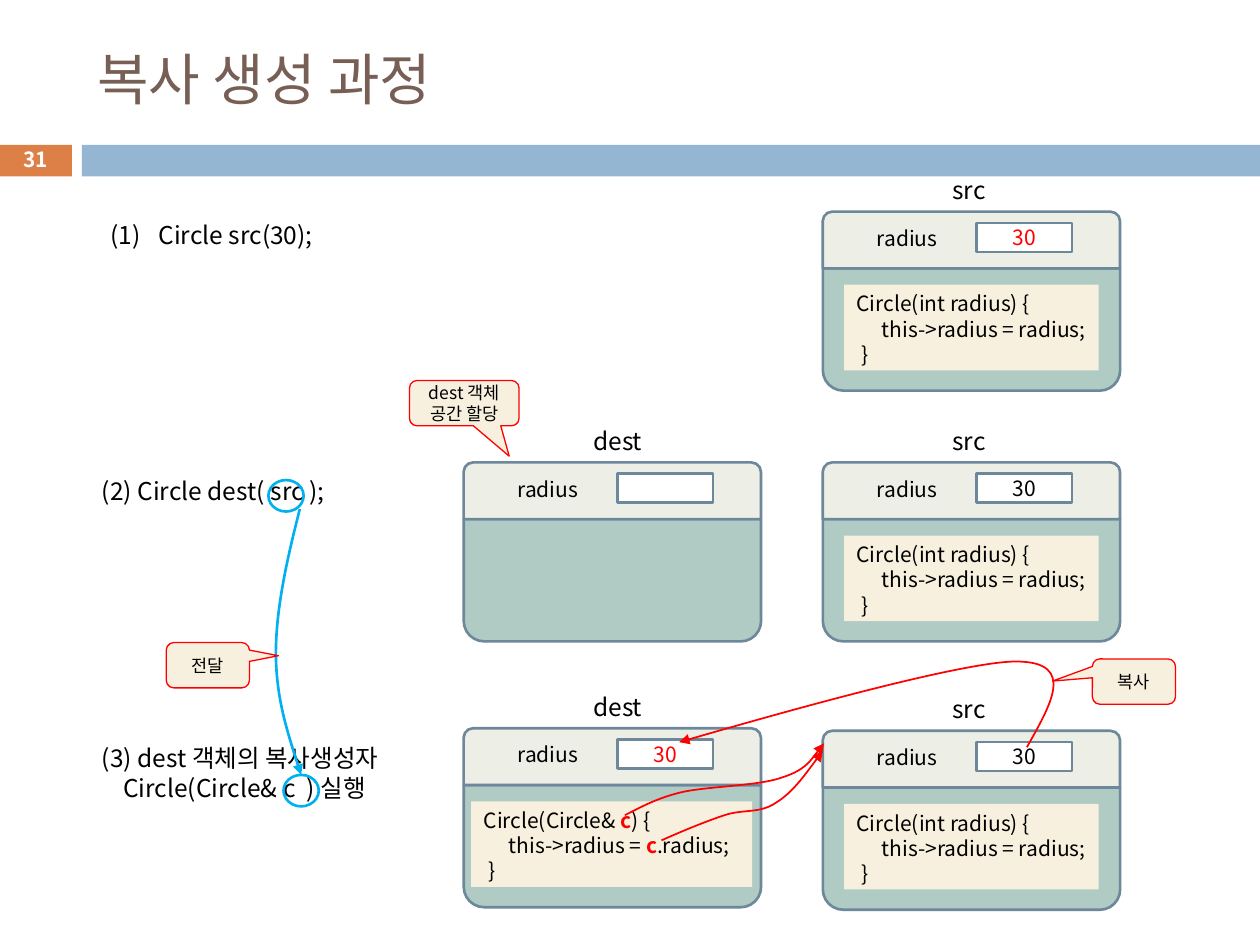
import itertools
from dataclasses import dataclass

import pptx
import pptx.dml.color
import pptx.enum.shapes
import pptx.enum.text
import pptx.oxml.ns
import pptx.oxml.xmlchemy
import pptx.util
from pptx.util import Inches

SHAPE = pptx.enum.shapes.MSO_SHAPE
ALIGN = pptx.enum.text.PP_ALIGN
ANCHOR = pptx.enum.text.MSO_ANCHOR


@dataclass(frozen=True)
class Theme:
    font: str = "Noto Sans CJK KR"
    black: str = "000000"
    white: str = "FFFFFF"
    red: str = "FF0000"
    cyan: str = "00B0F0"
    brown: str = "775F55"
    orange: str = "DD8047"
    blue: str = "94B6D2"
    border: str = "6D879B"
    body: str = "B0CAC4"
    header: str = "EDEEE6"
    cream: str = "F7F0DE"
    title_size: float = 32
    step_size: float = 14
    code_size: float = 12
    number_size: float = 11.9
    note_size: float = 10


THEME = Theme()


def rgb(value):
    return pptx.dml.color.RGBColor.from_string(value)


def add_xml(parent, tag, **attributes):
    child = parent.makeelement(pptx.oxml.ns.qn(tag), attributes)
    parent.append(child)
    return child


def write(shape, lines, size, color=THEME.black, bold=False, align=ALIGN.LEFT, anchor=ANCHOR.TOP):
    """Fill the frame with one paragraph per line; pieces between bars are bold red."""
    frame = shape.text_frame
    for name, value in {"word_wrap": True, "vertical_anchor": anchor}.items():
        setattr(frame, name, value)
    for index, line in enumerate(lines):
        para = frame.paragraphs[0] if index == 0 else frame.add_paragraph()
        para.alignment = align
        for position, text in enumerate(line.split("|")):
            marked = position % 2 == 1
            span = para.add_run()
            span.text = text
            style = {"name": THEME.font, "size": pptx.util.Pt(size), "bold": bold or marked}
            for name, value in style.items():
                setattr(span.font, name, value)
            span.font.color.rgb = rgb(THEME.red if marked else color)
            add_xml(span.font._element, "a:ea", typeface=THEME.font)
    return frame.paragraphs


def add_text(page, lines, left, top, width, height, size, **style):
    box = page.shapes.add_textbox(Inches(left), Inches(top), Inches(width), Inches(height))
    return write(box, lines, size, **style)


def paint(shape, fill=None, line=None, weight=1.5):
    shape.shadow.inherit = False
    if fill:
        shape.fill.solid()
        shape.fill.fore_color.rgb = rgb(fill)
    else:
        shape.fill.background()
    if line:
        shape.line.color.rgb = rgb(line)
        shape.line.width = pptx.util.Pt(weight)
    else:
        shape.line.fill.background()


def add_block(page, kind, left, top, width, height, **look):
    shape = page.shapes.add_shape(kind, Inches(left), Inches(top), Inches(width), Inches(height))
    paint(shape, **look)
    return shape


def add_object(page, name, left, top, value="", value_color=THEME.black,
               code=(), code_offset=0.17, code_width=2.02):
    """Draw one object: name above, member variable on top, constructor code below."""
    edge = {"line": THEME.border}
    lower = add_block(page, SHAPE.ROUND_2_SAME_RECTANGLE, left, top + 0.45, 2.36, 0.97,
                      fill=THEME.body, **edge)
    lower.rotation = 180
    add_block(page, SHAPE.ROUND_2_SAME_RECTANGLE, left, top, 2.36, 0.45, fill=THEME.header, **edge)
    add_text(page, ["radius"], left + 0.33, top + 0.06, 1.17, 0.26, THEME.code_size)
    if code:
        panel = add_block(page, SHAPE.RECTANGLE, left + code_offset, top + 0.58, code_width, 0.68,
                          fill=THEME.cream)
        for para in write(panel, code, THEME.code_size):
            tabs = add_xml(para._p.get_or_add_pPr(), "a:tabLst")
            add_xml(tabs, "a:tab", pos=str(Inches(0.2)), algn="l")
    cell = add_block(page, SHAPE.RECTANGLE, left + 1.22, top + 0.09, 0.76, 0.23,
                     fill=THEME.white, **edge)
    if value:
        write(cell, [value], THEME.code_size, value_color, align=ALIGN.CENTER, anchor=ANCHOR.MIDDLE)
    add_text(page, [name], left + 0.93, top - 0.34, 0.68, 0.34, THEME.step_size)


def add_curve(page, points, color, weight):
    """Draw an arrow along cubic curves: a start, then three points per curve."""
    scaled = [(Inches(x), Inches(y)) for x, y in points]
    builder = page.shapes.build_freeform(*scaled[0])
    builder.add_line_segments(scaled[1:], close=False)
    curve = builder.convert_to_shape()
    paint(curve, line=color, weight=weight)
    add_xml(curve.line._get_or_add_ln(), "a:tailEnd", type="triangle")
    outline = curve._element.find(".//" + pptx.oxml.ns.qn("a:path"))
    steps = iter(outline.findall(pptx.oxml.ns.qn("a:lnTo")))
    while group := list(itertools.islice(steps, 3)):
        bend = add_xml(outline, "a:cubicBezTo")
        for step in group:
            bend.append(step[0])
            outline.remove(step)


def add_callout(page, text, left, top, width, pointer):
    shape = add_block(page, SHAPE.ROUNDED_RECTANGULAR_CALLOUT, left, top, width, 0.36,
                      fill=THEME.cream, line=THEME.red, weight=0.75)
    for index, value in enumerate((*pointer, 0.167)):
        shape.adjustments[index] = value
    write(shape, [text], THEME.note_size, align=ALIGN.CENTER, anchor=ANCHOR.MIDDLE)


def add_heading(page):
    title = page.shapes.title
    place = {"left": 0.67, "top": 0.25, "width": 8.92, "height": 0.74}
    for name, value in place.items():
        setattr(title, name, Inches(value))
    write(title, ["복사 생성 과정"], THEME.title_size, THEME.brown, anchor=ANCHOR.MIDDLE)
    add_block(page, SHAPE.RECTANGLE, -0.01, 1.15, 0.58, 0.25, fill=THEME.orange)
    add_block(page, SHAPE.RECTANGLE, 0.65, 1.15, 9.35, 0.25, fill=THEME.blue)
    add_text(page, ["31"], -0.01, 1.13, 0.58, 0.27, THEME.number_size, color=THEME.white,
             bold=True, align=ALIGN.CENTER, anchor=ANCHOR.MIDDLE)


def add_steps(page):
    first = add_text(page, ["Circle src(30);"], 0.78, 1.7, 2.58, 0.34, THEME.step_size)[0]
    numbering = first._p.get_or_add_pPr()
    numbering.set("marL", str(Inches(0.38)))
    numbering.set("indent", str(-Inches(0.38)))
    add_xml(numbering, "a:buFont", typeface=THEME.font)
    add_xml(numbering, "a:buAutoNum", type="arabicParenBoth")
    add_text(page, ["(2) Circle dest( src );"], 0.71, 3.73, 2.17, 0.34, THEME.step_size)
    third = add_text(page, ["(3) dest 객체의 복사생성자", "Circle(Circle& c  ) 실행"],
                     0.71, 5.85, 2.76, 0.57, THEME.step_size)
    third[1]._p.get_or_add_pPr().set("marL", str(Inches(0.17)))


def main():
    deck = pptx.Presentation()
    deck.slide_width, deck.slide_height = Inches(10), Inches(7.5)
    page = deck.slides.add_slide(deck.slide_layouts[5])
    add_heading(page)
    add_steps(page)

    constructor = ["Circle(int radius) {", "\tthis->radius = radius;", " }"]
    copy_constructor = ["Circle(Circle& |c|) {", "\tthis->radius = |c|.radius;", " }"]
    for top, color in ((1.68, THEME.red), (3.67, THEME.black), (5.8, THEME.black)):
        add_object(page, "src", 6.53, top, "30", color, constructor)
    add_object(page, "dest", 3.68, 3.67)
    add_object(page, "dest", 3.68, 5.78, "30", THEME.red, copy_constructor, 0.06, 2.23)

    reference_arrows = [
        [(4.96, 6.47), (5.08, 6.41), (5.2, 6.34), (5.4, 6.29), (5.61, 6.24), (6.02, 6.24),
         (6.21, 6.17), (6.4, 6.11), (6.54, 5.9), (6.54, 5.9)],
        [(5.25, 6.67), (5.43, 6.59), (5.6, 6.52), (5.75, 6.47), (5.9, 6.42), (6.03, 6.46),
         (6.16, 6.37), (6.29, 6.29), (6.41, 6.12), (6.53, 5.96)],
    ]
    value_arrow = [(8.15, 5.93), (8.34, 5.59), (8.54, 5.26), (8.08, 5.25),
                   (7.62, 5.24), (5.39, 5.89), (5.39, 5.89)]
    for points in (*reference_arrows, value_arrow):
        add_curve(page, points, THEME.red, 1)
    argument_arrow = [(2.38, 4.04), (2.28, 4.43), (2.19, 4.83), (2.19, 5.18),
                      (2.19, 5.53), (2.29, 5.84), (2.39, 6.15)]
    add_curve(page, argument_arrow, THEME.cyan, 1.5)
    for left, top in ((2.13, 3.81), (2.25, 6.15)):
        add_block(page, SHAPE.OVAL, left, top, 0.28, 0.25, line=THEME.cyan)

    add_callout(page, "복사", 8.67, 5.23, 0.66, (-0.98, -0.01))
    add_callout(page, "전달", 1.32, 5.1, 0.66, (0.85, -0.21))
    add_callout(page, "dest 객체 공간 할당", 3.25, 3.02, 0.87, (0.41, 1.17))
    deck.save("out.pptx")


if __name__ == "__main__":
    main()
